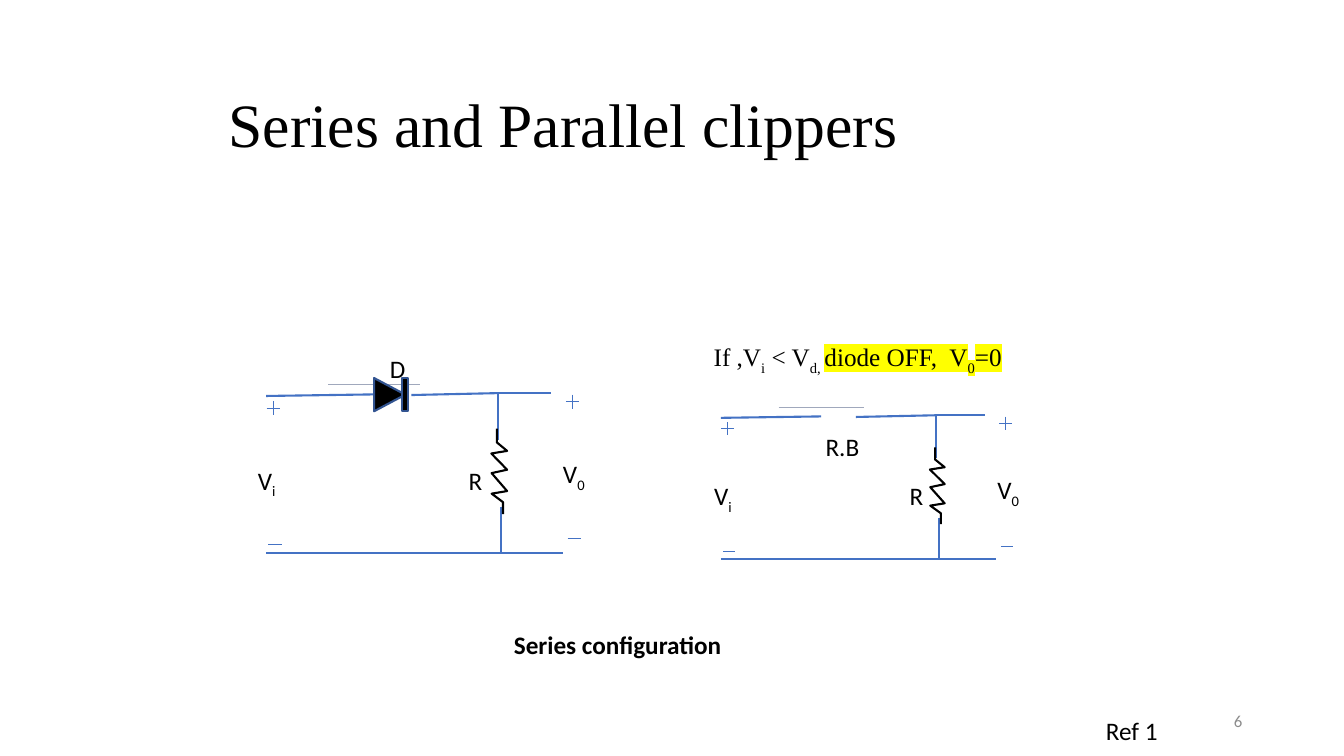
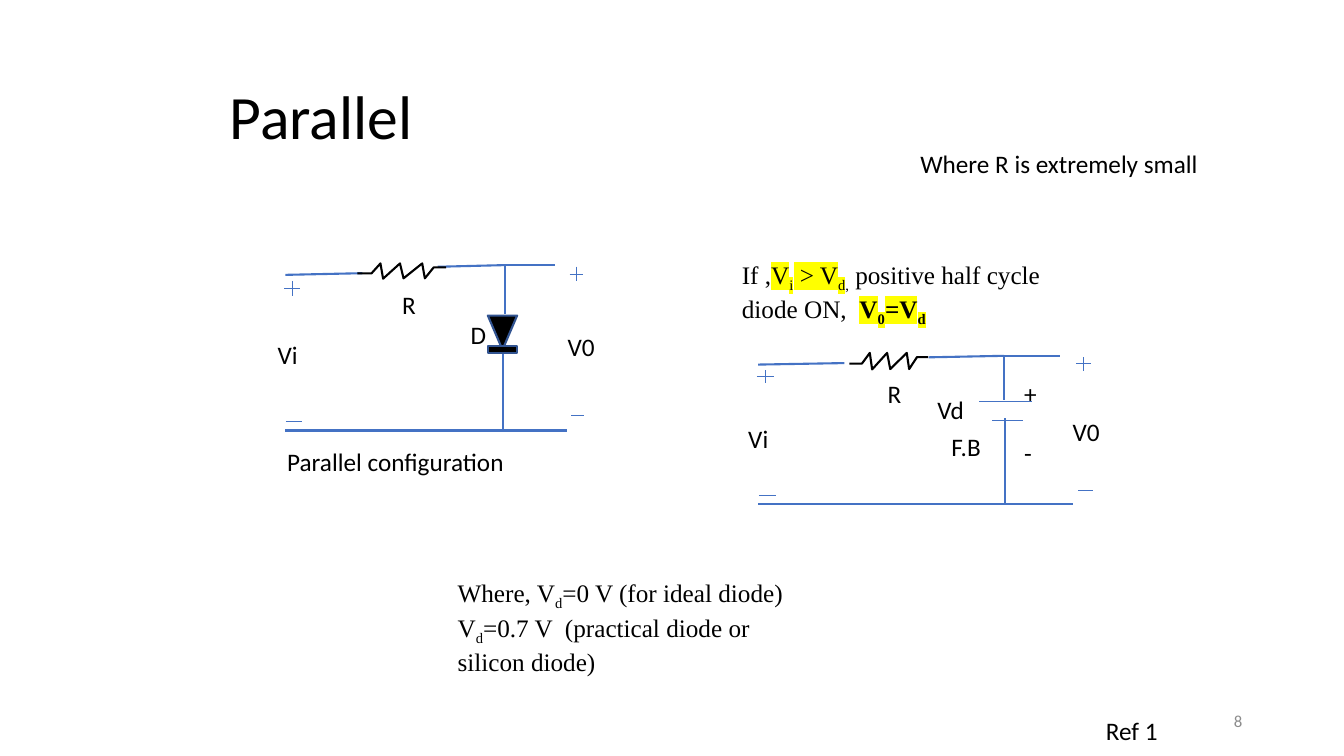
from dataclasses import dataclass
from itertools import pairwise

from lxml import etree
from pptx import Presentation
from pptx import util as u
from pptx.dml.color import RGBColor
from pptx.enum import shapes, text
from pptx.oxml import ns

SLIDE_WIDTH, SLIDE_HEIGHT = u.Inches(13.33), u.Inches(7.5)
BLACK = RGBColor(0x00, 0x00, 0x00)
WIRE = RGBColor(0x44, 0x72, 0xC4)
OUTLINE = RGBColor(0x32, 0x54, 0x91)
GHOST = RGBColor(0xA0, 0xA8, 0xBC)
GREY = RGBColor(0x8C, 0x8C, 0x8C)
HIGHLIGHT = "FFFF00"
SANS, SERIF = "Calibri", "Times New Roman"
LINE_HEIGHT = 5.33
ZIGZAG = [(0, 37), (16, 37), (26, 100), (29, 3), (48, 100), (52, 5),
          (73, 100), (76, 5), (86, 75), (100, 75)]


@dataclass
class Frame:
    """A box on a slide whose parts are placed in percent of its size."""
    slide: object
    left: int
    top: int
    width: int
    height: int

    def point(self, x, y):
        """Return the slide position of a point given in percent."""
        return (round(self.left + self.width * x / 100),
                round(self.top + self.height * y / 100))

    def box(self, x, y, width, height):
        """Return the slide box of an area given in percent."""
        return (*self.point(x, y), round(self.width * width / 100),
                round(self.height * height / 100))

    def inner(self, *area):
        """Return a frame nested in this one."""
        return Frame(self.slide, *self.box(*area))


def add_text(slide, box, paragraphs, size=18, font=SANS, color=BLACK, bold=False,
             align=text.PP_ALIGN.LEFT, anchor=text.MSO_ANCHOR.TOP,
             line_spacing=None, space_before=0):
    """Add text; a run is (text, flags): s subscript, h highlight, b bold."""
    frame = slide.shapes.add_textbox(*box).text_frame
    frame.word_wrap = True
    frame.vertical_anchor = anchor
    if isinstance(paragraphs, str):
        paragraphs = [[(paragraphs, "")]]
    for index, runs in enumerate(paragraphs):
        paragraph = frame.add_paragraph() if index else frame.paragraphs[0]
        paragraph.alignment = align
        if line_spacing:
            paragraph.line_spacing = line_spacing
        if index and space_before:
            paragraph.space_before = u.Pt(space_before)
        for content, flags in runs:
            run = paragraph.add_run()
            run.text = content
            run.font.size = u.Pt(size)
            run.font.bold = bold or "b" in flags
            run.font.color.rgb = color
            properties = run.font._element
            if "s" in flags:
                properties.set("baseline", "-25000")
            if "h" in flags:
                highlight = etree.SubElement(properties, ns.qn("a:highlight"))
                etree.SubElement(highlight, ns.qn("a:srgbClr"), val=HIGHLIGHT)
            run.font.name = font


def add_line(frame, *points, color=WIRE, weight=1.5):
    """Join points given in percent of the frame with straight lines."""
    for start, end in pairwise(points):
        line = frame.slide.shapes.add_connector(
            shapes.MSO_CONNECTOR.STRAIGHT, *frame.point(*start), *frame.point(*end))
        line.line.color.rgb = color
        line.line.width = u.Pt(weight)
        etree.SubElement(line._element.spPr, ns.qn("a:effectLst"))


def add_solid(frame, kind, area, rotation=0):
    """Add a black preset shape, one half of a diode."""
    shape = frame.slide.shapes.add_shape(kind, *frame.box(*area))
    shape.shadow.inherit = False
    shape.rotation = rotation
    shape.fill.solid()
    shape.fill.fore_color.rgb = BLACK
    shape.line.color.rgb = OUTLINE
    shape.line.width = u.Pt(1.5)


def add_diode(frame, triangle, bar, rotation):
    """Add a triangle turned towards its bar."""
    add_solid(frame, shapes.MSO_SHAPE.ISOSCELES_TRIANGLE, triangle, rotation)
    add_solid(frame, shapes.MSO_SHAPE.RECTANGLE, bar)


def add_resistor(frame, horizontal=False):
    """Fill the frame with a zigzag running down or to the right."""
    points = [frame.point(along, 100 - across) if horizontal
              else frame.point(across, along) for along, across in ZIGZAG]
    builder = frame.slide.shapes.build_freeform(*points[0])
    builder.add_line_segments(points[1:], close=False)
    shape = builder.convert_to_shape()
    shape.shadow.inherit = False
    shape.fill.background()
    shape.line.color.rgb = BLACK
    shape.line.width = u.Pt(1.5)


def add_sign(frame, x, y, half_width=2.3, plus=False):
    """Mark a terminal with a thin plus or minus."""
    add_line(frame, (x - half_width, y), (x + half_width, y), weight=0.5)
    if plus:
        add_line(frame, (x, y - 4.5), (x, y + 4.5), weight=0.5)


def add_label(frame, x, y, content, **style):
    """Add a short label at a point of the frame."""
    box = (*frame.point(x, y), u.Inches(0.7), u.Inches(0.4))
    add_text(frame.slide, box, content, **style)


def add_circuit(frame, left_wire, right_wire, shunt_gap, shunt_x, input_plus, half_width):
    """Draw the wires and terminal signs common to all clippers."""
    (left_end, left_y), (right_start, right_y) = left_wire, right_wire
    add_line(frame, (0, left_y + 1), (left_end, left_y))
    add_line(frame, (right_start, right_y), (78.2, 0), (96, 0))
    add_line(frame, (78.2, 0), (78.2, shunt_gap[0]))
    add_line(frame, (shunt_x, shunt_gap[1]), (shunt_x, 100))
    add_line(frame, (0, 100), (100, 100))
    add_sign(frame, 103.4, 5.4, plus=True)
    add_sign(frame, 104, 90.7)
    add_sign(frame, 2.4, input_plus, half_width, plus=True)
    add_sign(frame, 3, 94.4, half_width)


def add_series_clipper(frame, diode_on):
    """Draw a series clipper with its diode or with an open gap."""
    add_line(frame, (21, -5.3), (52, -5.3), color=GHOST, weight=0.25)
    add_circuit(frame, (36.4, 0.8), (49, 1.2), (29.5, 71), 79.2, 9.4, 2.2)
    add_resistor(frame.inner(75.8, 22.2, 5.5, 53.3))
    add_label(frame, 65, 41.7, "R")
    add_label(frame, 96.8, 37.8, [[("V", ""), ("0", "s")]])
    add_label(frame, -6.1, 42, [[("V", ""), ("i", "s")]])
    if diode_on:
        add_diode(frame, (36.1, -8.8, 11.2, 19.5), (45.9, -9.4, 2, 20.8), 90)
        add_label(frame, 38.4, -27.7, "D")
    else:
        add_label(frame, 34.4, 7.7, "R.B")


def add_parallel_clipper(frame, resistor, diode_on):
    """Draw a parallel clipper with its diode or with a battery."""
    gap, shunt_x = ((29.3, 53), 77.4) if diode_on else ((30, 42), 78.5)
    add_circuit(frame, (27.4, 4.9), (54.2, 1), gap, shunt_x, 14.1, 2.8)
    add_resistor(frame.inner(*resistor), horizontal=True)
    add_label(frame, 38, 11.6, "R")
    add_label(frame, 96.8, 37.3, "V0")
    add_label(frame, -6.3, 42, "Vi")
    if diode_on:
        add_diode(frame, (72, 30.5, 10.4, 20.7), (72, 48.8, 10.4, 4.3), 180)
        add_label(frame, 62.4, 30, "D")
    else:
        add_line(frame, (70.2, 30.6), (86.9, 30.6), weight=0.5)
        add_line(frame, (74.4, 43.5), (84.3, 43.5), weight=0.5)
        add_label(frame, 58.3, 47.6, "F.B")
        add_label(frame, 53.8, 22.4, "Vd")
        add_label(frame, 81.4, 11.6, [[("+", "")], [("-", "")]], space_before=21)


def start_slide(presentation, title, title_corner, title_font, number):
    """Add a slide with title, reference and number; return its frame."""
    slide = presentation.slides.add_slide(presentation.slide_layouts[6])
    page = Frame(slide, 0, 0, SLIDE_WIDTH, SLIDE_HEIGHT)
    middle = text.MSO_ANCHOR.MIDDLE
    add_text(slide, page.box(*title_corner, 67.5, 15.6), title, size=44,
             font=title_font, anchor=middle, line_spacing=0.9)
    add_text(slide, page.box(81.55, 94, 7, LINE_HEIGHT), "Ref 1")
    add_text(slide, page.box(70.67, 92.67, 22.5, LINE_HEIGHT), number, size=12,
             color=GREY, align=text.PP_ALIGN.RIGHT, anchor=middle)
    return page


def build_series_slide(presentation):
    """Build the slide on series clippers."""
    page = start_slide(presentation, "Series and Parallel clippers",
                       (16.27, 9.07), SERIF, "6")
    add_series_clipper(page.inner(19.8, 52, 22.06, 21.2), diode_on=True)
    add_series_clipper(page.inner(53.64, 54.93, 20.48, 19.07), diode_on=False)
    condition = [[("If ,V", ""), ("i", "s"), (" < V", ""), ("d, ", "s"),
                  ("diode OFF,  V", "h"), ("0", "sh"), ("=0", "h")]]
    add_text(page.slide, page.box(52.36, 44.53, 25, LINE_HEIGHT), condition, font=SERIF)
    add_text(page.slide, page.box(37.5, 82.53, 18.5, LINE_HEIGHT),
             "Series configuration", bold=True)


def build_parallel_slide(presentation):
    """Build the slide on parallel clippers."""
    page = start_slide(presentation, "Parallel", (16.35, 8), SANS, "8")
    add_parallel_clipper(page.inner(21.23, 35.07, 20.93, 21.87),
                         (25.6, -1, 31.6, 9.5), diode_on=True)
    add_parallel_clipper(page.inner(56.41, 47.07, 23.41, 19.6),
                         (29, -2, 25, 11.5), diode_on=False)
    condition = [[("If ,", ""), ("V", "h"), ("i", "sh"), (" > V", "h"), ("d", "sh"),
                  (",", "s"), (" positive half cycle", "")],
                 [("diode ON,  ", ""), ("V", "bh"), ("0", "bsh"), ("=V", "bh"),
                  ("d", "bsh")]]
    add_text(page.slide, page.box(54.46, 33.6, 25, 9.47), condition, font=SERIF)
    values = [[("Where, V", ""), ("d", "s"), ("=0 V (for ideal diode)", "")],
              [("V", ""), ("d", "s"),
               ("=0.7 V  (practical diode or silicon diode)", "")]]
    add_text(page.slide, page.box(33.31, 75.73, 26.1, 13.47), values, font=SERIF)
    add_text(page.slide, page.box(20.63, 58.4, 19, LINE_HEIGHT), "Parallel configuration")
    add_text(page.slide, page.box(67.74, 18.93, 24, LINE_HEIGHT),
             "Where R is extremely small")


def main():
    """Build and save the presentation."""
    presentation = Presentation()
    presentation.slide_width, presentation.slide_height = SLIDE_WIDTH, SLIDE_HEIGHT
    build_series_slide(presentation)
    build_parallel_slide(presentation)
    presentation.save("out.pptx")


if __name__ == "__main__":
    main()
